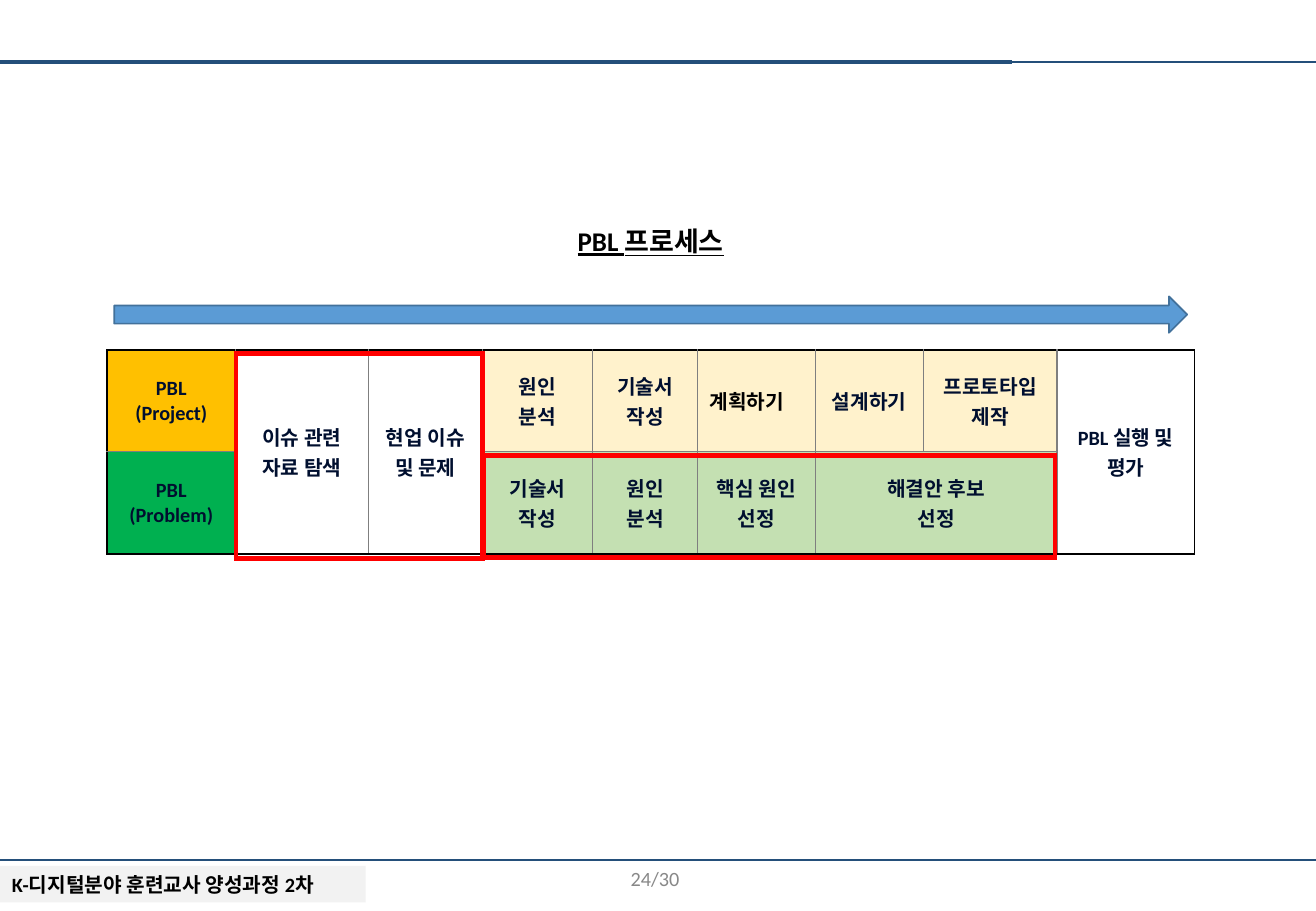
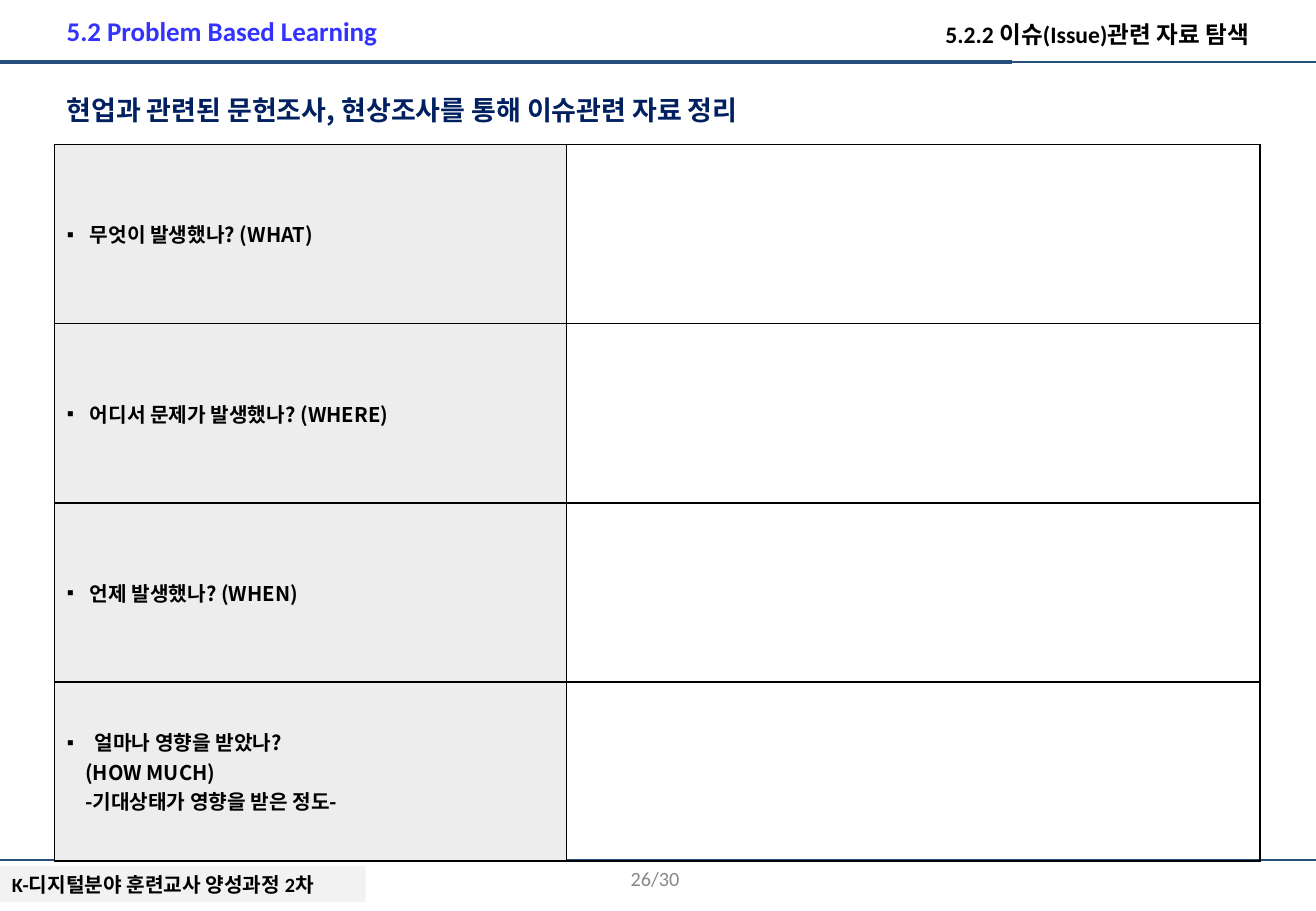
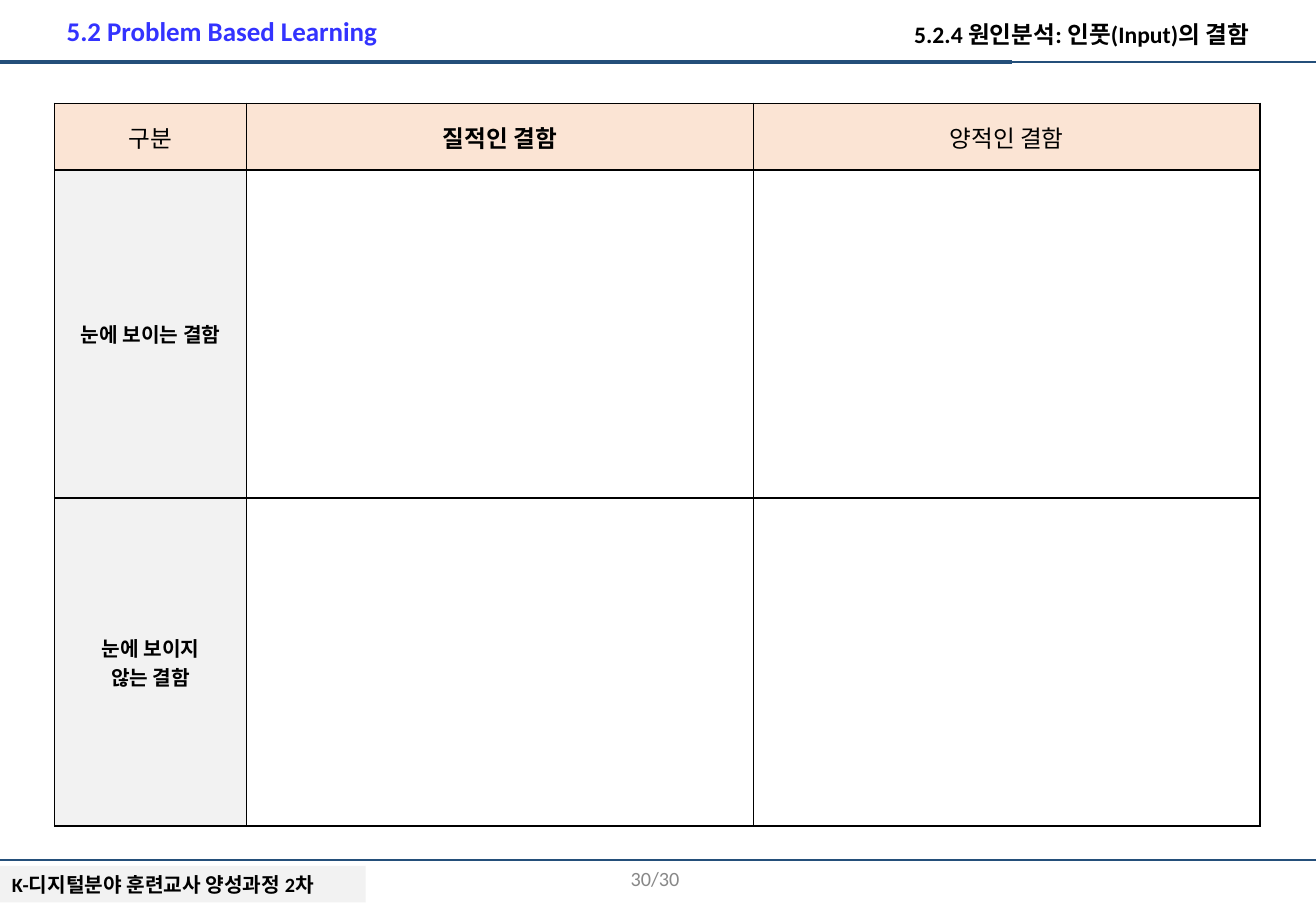
from dataclasses import dataclass

from lxml.etree import SubElement
from pptx import Presentation
from pptx.dml.color import RGBColor
from pptx.enum.shapes import MSO_CONNECTOR, MSO_SHAPE
from pptx.enum.text import MSO_ANCHOR, MSO_AUTO_SIZE, PP_ALIGN
from pptx.oxml.ns import qn
from pptx.util import Inches, Pt


@dataclass(frozen=True)
class Theme:
    latin: str = "Calibri"
    sans: str = "Arial"
    korean: str = "Noto Sans CJK KR"
    black: str = "000000"
    ink: str = "000F2F"
    navy: str = "002060"
    blue: str = "3333FF"
    rule: str = "244F7A"
    grey: str = "888888"
    grid: str = "7F7F7F"
    band: str = "F2F2F2"
    question: str = "EDEDED"
    header: str = "FBE4D4"
    arrow: str = "5B9BD5"
    arrow_edge: str = "42719B"
    red: str = "FF0000"
    project: str = "FFC000"
    problem: str = "00B050"
    project_step: str = "FFF2CC"
    problem_step: str = "C4E0B2"
    heading: int = 16
    topic: int = 14
    body: int = 12


THEME = Theme()


@dataclass(frozen=True)
class Cell:
    text: str = ""
    fill: str = ""
    font: str = THEME.latin
    color: str = THEME.black
    size: int = THEME.body
    bold: bool = True
    align: PP_ALIGN = PP_ALIGN.CENTER
    bullet: float = 0
    rows: int = 1
    columns: int = 1


WIDTH, HEIGHT = 10.83, 7.5
MARGIN = 0.45
PAGE_TOTAL = 30
FOOTER = "K-디지털분야 훈련교사 양성과정 2차"
SECTION = "5.2 Problem Based Learning"
NO_STYLE = "{2D5ABB26-0587-4C30-8999-92F81FD0307C}"


def step(text, fill="", **options):
    return Cell(text, fill, color=options.pop("color", THEME.ink), **options)


PROCESS = [
    [
        step("PBL\n(Project)", THEME.project),
        step("이슈 관련\n자료 탐색", rows=2),
        step("현업 이슈\n및 문제", rows=2),
        step("원인\n분석", THEME.project_step),
        step("기술서\n작성", THEME.project_step),
        step("계획하기", THEME.project_step, font=THEME.sans,
             color=THEME.black, align=PP_ALIGN.LEFT),
        step("설계하기", THEME.project_step),
        step("프로토타입\n제작", THEME.project_step),
        step("PBL 실행 및 평가", rows=2),
    ],
    [
        step("PBL\n(Problem)", THEME.problem),
        None,
        None,
        step("기술서\n작성", THEME.problem_step),
        step("원인\n분석", THEME.problem_step),
        step("핵심 원인\n선정", THEME.problem_step),
        step("해결안 후보\n선정", THEME.problem_step, columns=2),
        None,
        None,
    ],
]
HIGHLIGHTS = [(3.98, 3.75, 4.7, 0.84), (1.94, 2.91, 2.03, 1.69)]

QUESTIONS = [
    ("무엇이 발생했나? (WHAT)", 0.19),
    ("어디서 문제가 발생했나? (WHERE)", 0.19),
    ("언제 발생했나? (WHEN)", 0.19),
    ("얼마나 영향을 받았나?\n(HOW MUCH)\n-기대상태가 영향을 받은 정도-", 0.23),
]
DEFECT_HEADERS = [("구분", False), ("질적인 결함", True), ("양적인 결함", False)]
DEFECTS = ["눈에 보이는 결함", "눈에 보이지\n않는 결함"]


def rgb(value):
    return RGBColor.from_string(value)


def place(left, top, width, height):
    return [Inches(value) for value in (left, top, width, height)]


def style(para, font, size, color, bold=False, align=PP_ALIGN.LEFT):
    para.alignment = align
    para.font.name = font
    para.font.size = Pt(size)
    para.font.bold = bold
    para.font.color.rgb = rgb(color)


def write(box, text, size, color, font=THEME.latin, bold=True,
          align=PP_ALIGN.LEFT, anchor=MSO_ANCHOR.TOP):
    frame = box.text_frame
    frame.word_wrap = True
    frame.auto_size = MSO_AUTO_SIZE.NONE
    frame.vertical_anchor = anchor
    frame.text = text
    style(frame.paragraphs[0], font, size, color, bold, align)
    return frame.paragraphs[0]


def add_text(page, area, text, size, color, **options):
    write(page.shapes.add_textbox(*place(*area)), text, size, color, **options)


def set_title(page, area, text, size, **options):
    title = page.shapes.title
    title.left, title.top, title.width, title.height = place(*area)
    return write(title, text, size, THEME.black, **options)


def add_block(page, kind, area, fill, line=""):
    block = page.shapes.add_shape(kind, *place(*area))
    block.shadow.inherit = False
    block.fill.solid()
    block.fill.fore_color.rgb = rgb(fill)
    if line:
        block.line.color.rgb = rgb(line)
        block.line.width = Pt(1)
    else:
        block.line.fill.background()
    return block


def add_rule(page, top, width, weight):
    rule = page.shapes.add_connector(
        MSO_CONNECTOR.STRAIGHT, 0, Inches(top), Inches(width), Inches(top))
    rule.line.color.rgb = rgb(THEME.rule)
    rule.line.width = Pt(weight)
    SubElement(rule.element.spPr, qn("a:effectLst"))
    return rule


def dress_master(deck, page):
    band = add_block(page, MSO_SHAPE.RECTANGLE, (0, 7.13, 3.01, 0.3), THEME.band)
    write(band, FOOTER, THEME.body, THEME.black)
    rules = [add_rule(page, *rule) for rule in
             [(0.51, WIDTH, 0.75), (0.51, 8.33, 2.5), (7.08, WIDTH, 0.75)]]
    for part in [band, *rules]:
        deck.slide_master.shapes.element.append(part.element)


def set_border(cell, side, color, weight):
    edge = SubElement(cell._tc.get_or_add_tcPr(), qn(f"a:ln{side}"))
    edge.set("w", str(Pt(weight)))
    fill = SubElement(edge, qn("a:solidFill"))
    SubElement(fill, qn("a:srgbClr")).set("val", color)


def fill_cell(cell, content):
    cell.vertical_anchor = MSO_ANCHOR.MIDDLE
    if content.fill:
        cell.fill.solid()
        cell.fill.fore_color.rgb = rgb(content.fill)
    else:
        cell.fill.background()
    if not content.text:
        return
    cell.text = content.text
    for index, para in enumerate(cell.text_frame.paragraphs):
        if content.bullet:
            layout = para._p.get_or_add_pPr()
            layout.set("marL", str(Inches(0.15 if index else content.bullet)))
            layout.set("indent", str(0 if index else -Inches(content.bullet)))
            if index == 0:
                color = SubElement(layout, qn("a:buClr"))
                SubElement(color, qn("a:srgbClr")).set("val", THEME.black)
                SubElement(layout, qn("a:buFont")).set("typeface", THEME.sans)
                SubElement(layout, qn("a:buChar")).set("char", "▪")
        style(para, content.font, content.size, content.color,
              content.bold, content.align)


def add_grid(page, left, top, widths, heights, contents,
             inner=(THEME.black, 1), outer=(THEME.black, 1)):
    row_count, column_count = len(heights), len(widths)
    frame = page.shapes.add_table(
        row_count, column_count, *place(left, top, sum(widths), sum(heights)))
    table = frame.table
    table.first_row = table.horz_banding = False
    table._tbl.tblPr.find(qn("a:tableStyleId")).text = NO_STYLE
    for column, width in zip(table.columns, widths):
        column.width = Inches(width)
    for row, height in zip(table.rows, heights):
        row.height = Inches(height)
    for row, line in enumerate(contents):
        for column, content in enumerate(line):
            cell = table.cell(row, column)
            shown = content or Cell()
            last_row, last_column = row + shown.rows, column + shown.columns
            at_edge = {"L": column == 0, "R": last_column == column_count,
                       "T": row == 0, "B": last_row == row_count}
            for side, is_outer in at_edge.items():
                if is_outer or content:
                    set_border(cell, side, *(outer if is_outer else inner))
            if content:
                fill_cell(cell, content)
                if content.rows * content.columns > 1:
                    cell.merge(table.cell(last_row - 1, last_column - 1))


def add_page(deck, number):
    page = deck.slides.add_slide(deck.slide_layouts[5])
    add_text(page, (3.25, 7.03, 2.44, 0.4), f"{number}/{PAGE_TOTAL}", THEME.body,
             THEME.grey, bold=False, align=PP_ALIGN.RIGHT, anchor=MSO_ANCHOR.MIDDLE)
    return page


def add_topic_page(deck, number, topic):
    page = add_page(deck, number)
    set_title(page, (6.38, 0.11, 4, 0.34), topic, THEME.topic, align=PP_ALIGN.RIGHT)
    add_text(page, (MARGIN, 0.07, 3.29, 0.37), SECTION, THEME.heading, THEME.blue)
    return page


def build_process(deck):
    page = add_page(deck, 24)
    dress_master(deck, page)
    heading = set_title(page, (4.59, 1.8, 1.53, 0.37), "PBL 프로세스",
                        THEME.heading, align=PP_ALIGN.CENTER)
    heading.font.underline = True
    add_block(page, MSO_SHAPE.RIGHT_ARROW, (0.94, 2.44, 8.83, 0.3),
              THEME.arrow, THEME.arrow_edge)
    widths = [1.06, 1.09, 0.94, 0.91, 0.86, 0.97, 0.89, 1.1, 1.13]
    add_grid(page, 0.88, 2.88, widths, [0.84] * 2, PROCESS, (THEME.grid, 0.75))
    for left, top, width, height in HIGHLIGHTS:
        add_grid(page, left, top, [width], [height], [[Cell()]],
                 outer=(THEME.red, 3))


def build_questions(deck):
    page = add_topic_page(deck, 26, "5.2.2 이슈(Issue)관련 자료 탐색")
    add_text(page, (MARGIN, 0.72, 6.63, 0.37),
             "현업과 관련된 문헌조사, 현상조사를 통해 이슈관련 자료 정리",
             THEME.heading, THEME.navy, font=THEME.korean)
    contents = [[Cell(text, THEME.question, THEME.korean, align=PP_ALIGN.LEFT,
                      bullet=bullet), Cell()] for text, bullet in QUESTIONS]
    add_grid(page, MARGIN, 1.19, [4.21, 5.71], [5.9 / len(QUESTIONS)] * len(QUESTIONS),
             contents)


def build_defects(deck):
    page = add_topic_page(deck, 30, "5.2.4 원인분석: 인풋(Input)의 결함")
    headers = [Cell(text, THEME.header, THEME.sans, size=THEME.topic, bold=bold)
               for text, bold in DEFECT_HEADERS]
    rows = [[Cell(text, THEME.band, THEME.sans), Cell(), Cell()] for text in DEFECTS]
    add_grid(page, MARGIN, 0.85, [1.58, 4.17, 4.17], [0.55, 2.7, 2.7],
             [headers, *rows])


def main():
    deck = Presentation()
    deck.slide_width, deck.slide_height = Inches(WIDTH), Inches(HEIGHT)
    build_process(deck)
    build_questions(deck)
    build_defects(deck)
    deck.save("out.pptx")


if __name__ == "__main__":
    main()
